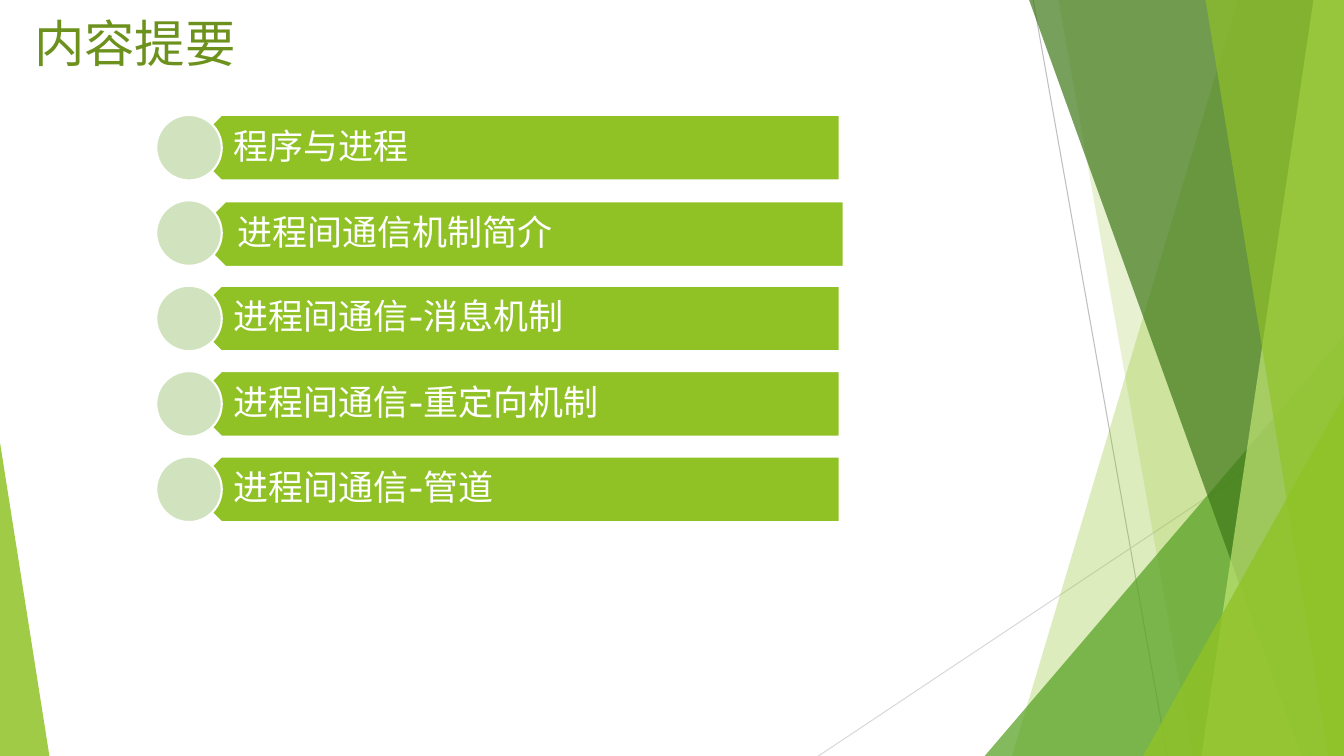
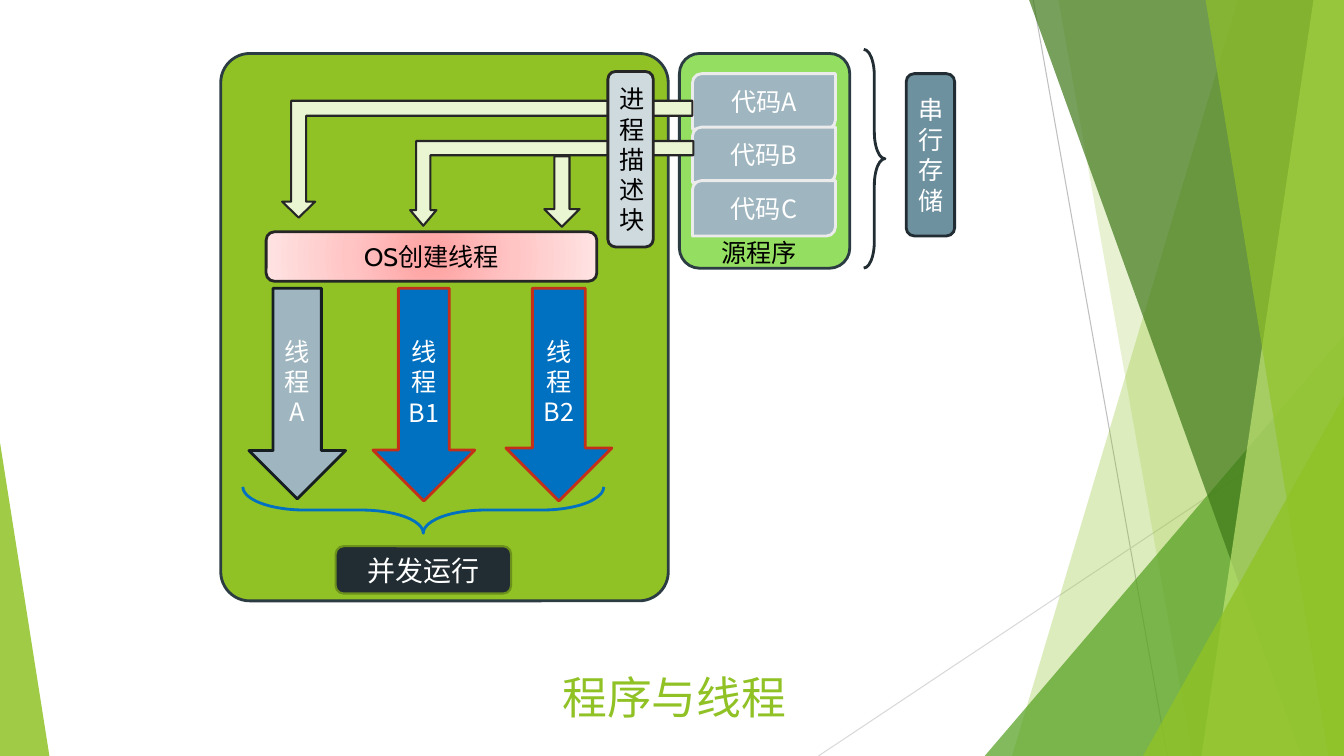
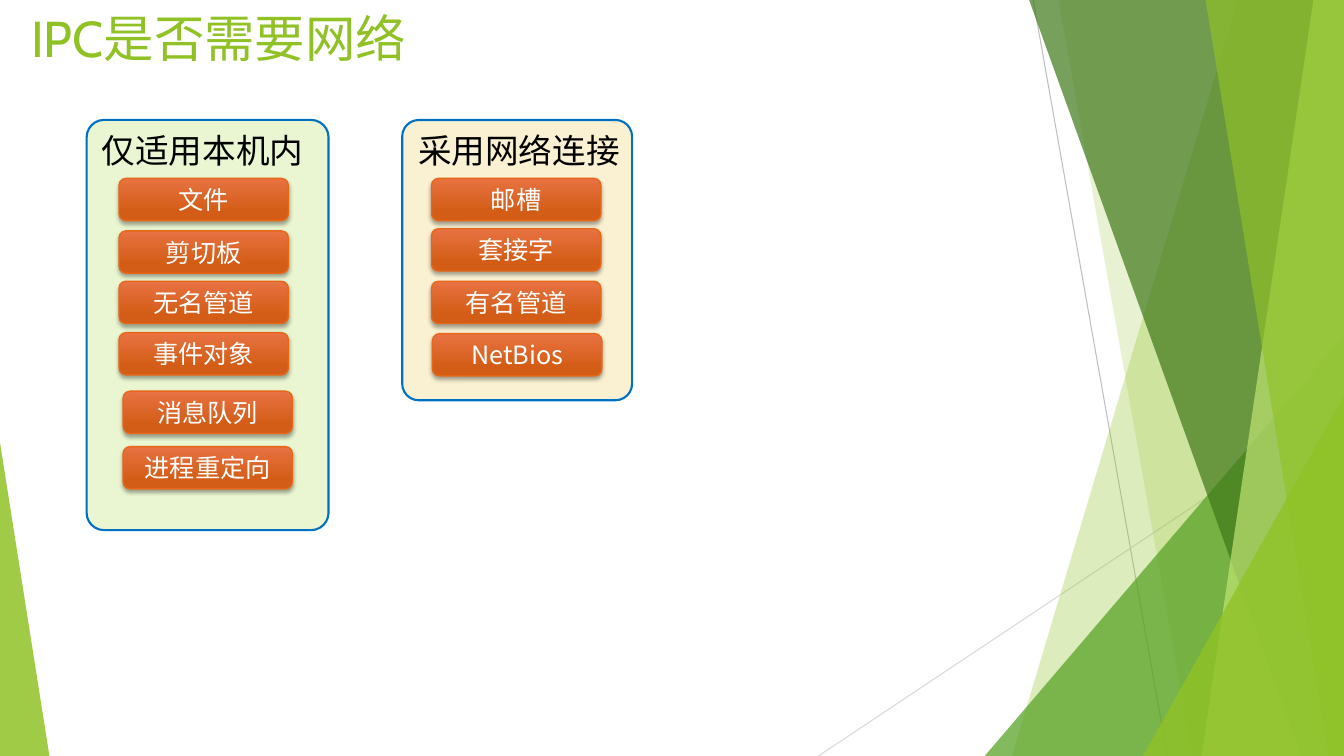
from lxml.etree import SubElement
from pptx import Presentation
from pptx.dml.color import RGBColor
from pptx.enum.shapes import MSO_CONNECTOR, MSO_SHAPE as S
from pptx.enum.text import MSO_ANCHOR, PP_ALIGN
from pptx.oxml.ns import qn
from pptx.util import Pt

WIDTH, HEIGHT = 960, 540

RULES = [((738, 0), (833.8, 540), "BFBFBF"), ((960, 290), (584.6, 540), "D9D9D9")]
FACETS = [
    ("band", (884.2, 722.9), "90C226", 30),
    ("band", (756, 851.8), "90C226", 20),
    ("right", (703.4, 239.8, 256.6, 300.2), "54A021", 72),
    ("band", (735.1, 929.5), "3F7819", 70),
    ("band", (938.2, 858.2), "C0E474", 70),
    ("band", (861.1, 949), "90C226", 65),
    ("right", (816.5, 283, 143.5, 257), "90C226", 80),
    ("left", (0, 316.1, 35.3, 223.9), "90C226", 85),
]

TITLES = [
    ("内容提要", (17.3, 10.1, 309.6, 56.2), "title_dark"),
    ("程序与线程", (394.6, 478.8, 190.8, 46.8), "title_small"),
    ("IPC是否需要网络", (15.1, 6.5, 293, 62.6), "title"),
]

TOPICS = [
    ("程序与进程", 0, 0),
    ("进程间通信机制简介", 2.9, 0.8),
    ("进程间通信-消息机制", 0, 0),
    ("进程间通信-重定向机制", 0, 0),
    ("进程间通信-管道", 0, 0),
]
TOPIC_TOP, TOPIC_PITCH, TOPIC_HEIGHT = 82.1, 61, 46.8

CODE_BLOCKS = ["代码A", "代码B", "代码C"]
CODE_PITCH = 38.2

PROCESS = [(S.ROUNDED_RECTANGLE, (157.7, 38.2, 319.7, 391), "process", "", [0.065], "")]
THREADS = [
    (S.DOWN_ARROW, (177.8, 205.9, 69.1, 150.5), "thread_a", "线程A", [], ""),
    (S.DOWN_ARROW, (266.4, 205.9, 72.7, 151.9), "thread_b", "线程\nB1", [], ""),
    (S.DOWN_ARROW, (361.4, 205.9, 75.6, 151.9), "thread_b", "线程B2", [], ""),
]
SOURCE = [(S.ROUNDED_RECTANGLE, (485.3, 38.2, 121.7, 153.4), "source", "", [0.119], "")]
SOURCE += [
    (S.ROUND_2_DIAG_RECTANGLE, (494.6, 52.6 + i * CODE_PITCH, 102.2, 39.6), "code", code, [], "")
    for i, code in enumerate(CODE_BLOCKS)
]
SOURCE_LABEL = ("源程序", (508.3, 166.3, 69.1, 28.8))
FLOW = [
    (S.ROUNDED_RECTANGLE, (190.1, 165.6, 236.2, 35.3), "creator", "OS创建线程", [], ""),
    (S.LEFT_BRACE, (285.8, 235.4, 33.1, 257.8), "run_brace", "", [1.34, 0.5], "turn"),
    (S.LEFT_BRACE, (617, 35.3, 15.1, 156.2), "store_brace", "", [1.25, 0.5], "H"),
    (S.ROUNDED_RECTANGLE, (647.3, 52.6, 34.6, 115.9), "storage", "串行存储", [], ""),
    (S.FLOWCHART_ALTERNATE_PROCESS, (239.8, 390.2, 125.3, 33.8), "running", "并发运行", [], ""),
    (S.BENT_UP_ARROW, (201.6, 72, 293, 83.5), "route", "", [0.128, 0.141, 0.137], "HV"),
    (S.BENT_UP_ARROW, (293, 100.8, 202.3, 60.5), "route", "", [0.168, 0.155, 0.185], "HV"),
    (S.DOWN_ARROW, (388.8, 111.6, 25.2, 50.4), "route", "", [0.427, 0.5], ""),
    (S.ROUNDED_RECTANGLE, (434.2, 51.1, 32.4, 125.3), "descriptor", "进程描述块", [], ""),
]

PANELS = [
    ("仅适用本机内", (61.9, 85.7, 172.8, 293), "local", 65.5, 85, [
        ("文件", 127.4, 0), ("剪切板", 164.9, 0), ("无名管道", 200.9, 0),
        ("事件对象", 237.6, 0), ("消息队列", 279.4, 2.9), ("进程重定向", 319, 2.9)]),
    ("采用网络连接", (287.3, 85.7, 164.2, 200.2), "network", 291.6, 308.2, [
        ("邮槽", 127.4, 0), ("套接字", 163.4, 0), ("有名管道", 200.9, 0),
        ("NetBios", 238.3, 0.7)]),
]


class Theme:
    east_asian = "Noto Sans CJK SC"
    latin = "Cabin"
    creator_stops = [(0, "FFA0A0"), (50, "FFC5C5"), (100, "FFE3E3")]
    button_stops = [(0, "E87242"), (78, "D35D16")]
    looks = {
        "bar": ("90C226", "FFFFFF", 1.5),
        "dot": ("D1E3BE", "FFFFFF", 1.5),
        "process": ("90C226", "2C3C43", 2),
        "thread_a": ("9FB6C0", "161E22", 2),
        "thread_b": ("0070C0", "C42F1A", 2),
        "source": ("94DE61", "2C3C43", 2),
        "code": ("9FB6C0", "EBEBEB", 2),
        "creator": (creator_stops, "262626", 2),
        "run_brace": (None, "0070C0", 2),
        "store_brace": (None, "212D32", 2),
        "storage": ("6E91A0", "212D32", 2),
        "running": ("212D32", "6B901C", 1.5),
        "route": ("EAF6D1", "262626", 1.5),
        "descriptor": ("CFDADF", "262626", 2),
        "local": ("EAF6D1", "0070C0", 1.5),
        "network": ("FAF1D2", "0070C0", 1.5),
        "button": (button_stops, "E76618", 1),
    }
    texts = {
        "title_dark": (36, "6C921D", latin),
        "title": (36, "90C226", latin),
        "title_small": (32, "90C226", east_asian),
        "bar": (25, "FFFFFF", latin),
        "creator": (18, "000000", latin),
        "descriptor": (18, "000000", east_asian),
        "running": (20, "FFFFFF", east_asian),
        "source_label": (18, "000000", east_asian),
        "panel_label": (24, "000000", east_asian),
        "default": (18, "FFFFFF", east_asian),
    }


def rgb(value):
    return RGBColor.from_string(value)


def points(values):
    return [Pt(value) for value in values]


def write(frame, text, style, align=None, spacing=None):
    size, color, face = Theme.texts.get(style, Theme.texts["default"])
    frame.text = text
    for paragraph in frame.paragraphs:
        paragraph.alignment = align
        paragraph.line_spacing = spacing
        for run in paragraph.runs:
            run.font.size = Pt(size)
            run.font.color.rgb = rgb(color)
            run.font.name = face
            SubElement(run.font._element, qn("a:ea"), typeface=Theme.east_asian)


def add_text(slide, text, box, style, wrap=True, spacing=None):
    frame = slide.shapes.add_textbox(*points(box)).text_frame
    frame.word_wrap = wrap
    write(frame, text, style, spacing=spacing)
    return frame


def paint_gradient(shape, stops, circular):
    shape.fill.gradient()
    gradient = shape.element.spPr.find(qn("a:gradFill"))
    for child in list(gradient):
        gradient.remove(child)
    stop_list = SubElement(gradient, qn("a:gsLst"))
    for position, color in stops:
        stop = SubElement(stop_list, qn("a:gs"), pos=str(position * 1000))
        SubElement(stop, qn("a:srgbClr"), val=color)
    if circular:
        spread = SubElement(gradient, qn("a:path"), path="circle")
        SubElement(spread, qn("a:fillToRect"), l="50000", t="50000", r="50000", b="50000")
    else:
        SubElement(gradient, qn("a:lin"), ang="5400000", scaled="0")


def add_part(slide, preset, box, style, text="", adjustments=(), turn=""):
    part = slide.shapes.add_shape(preset, *points(box))
    part.shadow.inherit = False
    fill, line, weight = Theme.looks[style]
    if fill is None:
        part.fill.background()
    elif isinstance(fill, list):
        paint_gradient(part, fill, circular=style == "creator")
    else:
        part.fill.solid()
        part.fill.fore_color.rgb = rgb(fill)
    part.line.color.rgb = rgb(line)
    part.line.width = Pt(weight)
    for index, value in enumerate(adjustments):
        part.adjustments[index] = value
    if turn == "turn":
        part.rotation = 270
    else:
        for axis in turn:
            part.element.spPr.xfrm.set("flip" + axis, "1")
    if text:
        part.text_frame.vertical_anchor = MSO_ANCHOR.MIDDLE
        write(part.text_frame, text, style, PP_ALIGN.CENTER)
    return part


def add_button(slide, text, left, top):
    button = add_part(slide, S.ROUNDED_RECTANGLE, (left, top, 121, 30.2), "button", text)
    effects = button.element.spPr.find(qn("a:effectLst"))
    shadow = SubElement(effects, qn("a:outerShdw"), blurRad=str(int(Pt(3))), dist=str(int(Pt(2))),
                        dir="5400000", rotWithShape="0")
    color = SubElement(shadow, qn("a:srgbClr"), val="000000")
    SubElement(color, qn("a:alpha"), val="35000")


def add_facet(slide, kind, place, color, opacity):
    if kind == "band":
        top, bottom = place
        outline = slide.shapes.build_freeform(Pt(top), 0)
        corners = [(WIDTH, 0), (WIDTH, HEIGHT), (bottom, HEIGHT)]
        outline.add_line_segments([points(corner) for corner in corners], close=True)
        facet = outline.convert_to_shape()
    else:
        facet = slide.shapes.add_shape(S.ISOSCELES_TRIANGLE, *points(place))
        facet.adjustments[0] = 1 if kind == "right" else 0
    facet.shadow.inherit = False
    facet.line.fill.background()
    facet.fill.solid()
    facet.fill.fore_color.rgb = rgb(color)
    tint = facet.element.spPr.find(qn("a:solidFill"))[0]
    SubElement(tint, qn("a:alpha"), val=str(opacity * 1000))


def add_backdrop(layout, slide):
    for placeholder in list(layout.placeholders):
        layout.shapes.element.remove(placeholder.element)
    for start, end, color in RULES:
        rule = slide.shapes.add_connector(MSO_CONNECTOR.STRAIGHT, *points(start + end))
        rule.line.color.rgb = rgb(color)
        rule.line.width = Pt(0.75)
        SubElement(rule.element.spPr, qn("a:effectLst"))
    for facet in FACETS:
        add_facet(slide, *facet)
    for shape in list(slide.shapes):
        layout.shapes.element.append(shape.element)


def add_topics(slide):
    for index, (topic, shift, drop) in enumerate(TOPICS):
        top = TOPIC_TOP + index * TOPIC_PITCH
        bar_top = top + drop
        bar = add_part(slide, S.PENTAGON, (134.6 + shift, bar_top, 465.1, TOPIC_HEIGHT), "bar")
        bar.rotation = 180
        frame = add_text(slide, topic, (146.2 + shift, bar_top, 453.6, TOPIC_HEIGHT), "bar", spacing=0.9)
        frame.vertical_anchor = MSO_ANCHOR.MIDDLE
        frame.margin_left, frame.margin_right = Pt(20.9), Pt(13.7)
        frame.margin_top = frame.margin_bottom = Pt(7.2)
        add_part(slide, S.OVAL, (111.6, top, TOPIC_HEIGHT, TOPIC_HEIGHT), "dot")


def add_threads(slide):
    for part in PROCESS + THREADS + SOURCE:
        add_part(slide, *part)
    add_text(slide, *SOURCE_LABEL, "source_label", wrap=False)
    for part in FLOW:
        add_part(slide, *part)


def add_panels(slide):
    for label, box, style, label_left, left, buttons in PANELS:
        add_part(slide, S.ROUNDED_RECTANGLE, box, style, adjustments=[0.072])
        add_text(slide, label, (label_left, 89.3, 159.8, 36), "panel_label", wrap=False)
        for text, top, shift in buttons:
            add_button(slide, text, left + shift, top)


def main():
    deck = Presentation()
    deck.slide_width, deck.slide_height = Pt(WIDTH), Pt(HEIGHT)
    layout = deck.slide_layouts[6]
    slides = [deck.slides.add_slide(layout) for _ in TITLES]
    add_backdrop(layout, slides[0])
    for slide, title, add_content in zip(slides, TITLES, (add_topics, add_threads, add_panels)):
        add_content(slide)
        add_text(slide, *title, spacing=0.9)
    deck.save("out.pptx")


if __name__ == "__main__":
    main()
